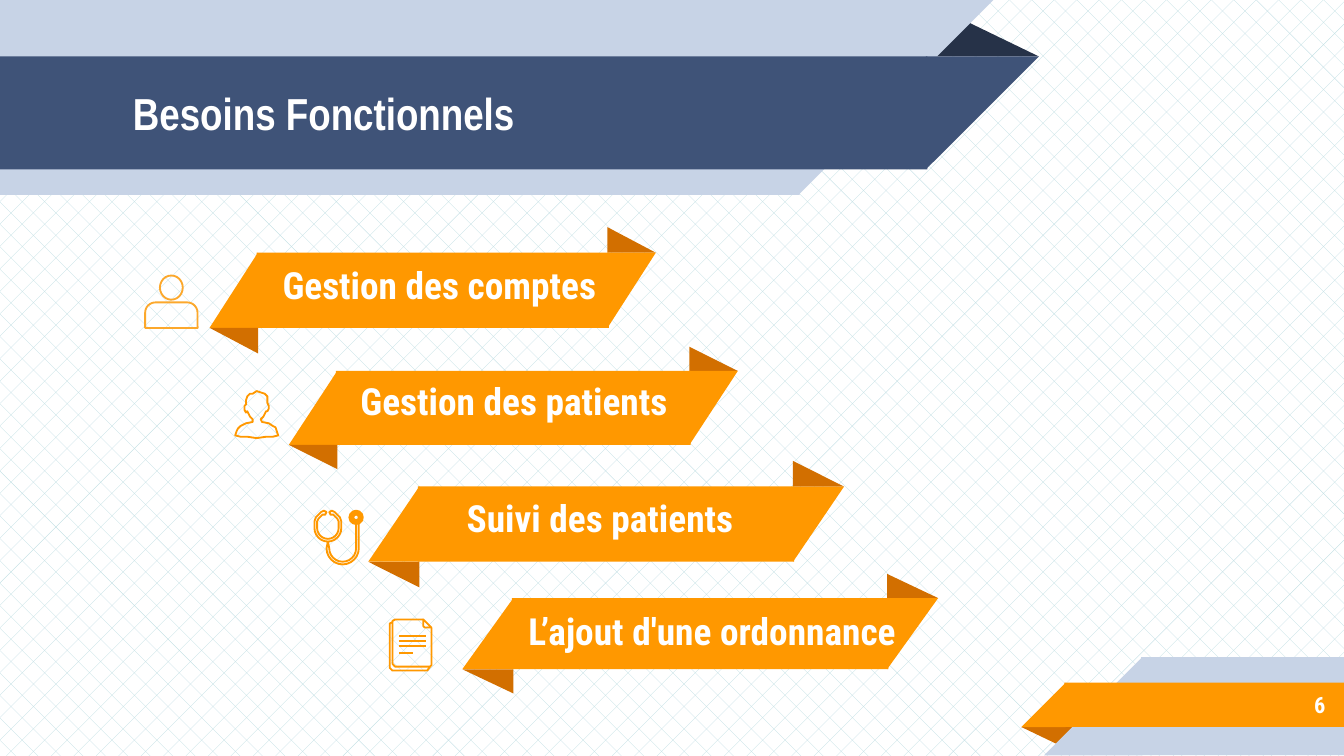
"""Build the "Besoins Fonctionnels" slide with its four ribbons and line icons."""
from dataclasses import dataclass
from math import cos, radians, sin
from typing import NamedTuple

from pptx import Presentation
from pptx.dml.color import RGBColor as Rgb
from pptx.enum.dml import MSO_PATTERN as Pattern
from pptx.enum.shapes import MSO_SHAPE as Preset
from pptx.enum.text import MSO_ANCHOR as Anchor, PP_ALIGN as Align
from pptx.util import Inches, Pt


@dataclass(frozen=True)
class Theme:
    pale: str = "C7D3E6"
    navy: str = "3F5378"
    ink: str = "263248"
    orange: str = "FF9800"
    amber: str = "FCA82C"
    rust: str = "D26F00"
    white: str = "FFFFFF"
    weave: str = "BCDCE1"
    title_font: str = "Arial Narrow"
    label_font: str = "Roboto Condensed"
    title_size: int = 24
    label_size: int = 20
    number_size: int = 12
    icon_line: float = 1
    seam: float = 0.01


class Box(NamedTuple):
    left: float
    top: float
    width: float
    height: float


class Ribbon(NamedTuple):
    left: float
    top: float
    slant: float
    body: float
    height: float
    fold: float
    label: str
    label_box: Box


Point = tuple[float, float]
THEME = Theme()

RIBBONS = [
    Ribbon(1.56, 1.88, 0.36, 2.6, 0.56, 0.19, "Gestion des comptes", Box(1.59, 1.84, 3.36, 0.56)),
    Ribbon(2.15, 2.76, 0.36, 2.62, 0.55, 0.18, "Gestion des patients", Box(2.52, 2.7, 2.61, 0.56)),
    Ribbon(2.74, 3.62, 0.38, 2.78, 0.56, 0.19, "Suivi des patients", Box(2.91, 3.61, 3.11, 0.48)),
    Ribbon(3.44, 4.45, 0.38, 2.78, 0.53, 0.18, "L’ajout d'une ordonnance", Box(3.65, 4.45, 3.3, 0.48)),
]

PATIENT = [
    (1.95, 3.14), (1.94, 3.12), (1.96, 3.1), (1.98, 3.06), (1.99, 3.06), (2, 3.04), (2, 3.02),
    (1.99, 3), (1.99, 2.95), (1.97, 2.93), (1.94, 2.92), (1.91, 2.91), (1.88, 2.93), (1.86, 2.93),
    (1.84, 2.95), (1.83, 2.98), (1.83, 3.01), (1.82, 3.02), (1.82, 3.05), (1.83, 3.07), (1.84, 3.06),
    (1.86, 3.1), (1.88, 3.12), (1.88, 3.14), (1.83, 3.15), (1.79, 3.17), (1.77, 3.19), (1.76, 3.21),
    (1.75, 3.24), (1.79, 3.25), (1.84, 3.25), (1.91, 3.26), (1.98, 3.25), (2.03, 3.25), (2.07, 3.24),
    (2.06, 3.21), (2.05, 3.18), (2.03, 3.17), (2, 3.15),
]
EARPIECE = [
    (2.54, 3.88), (2.53, 3.85), (2.5, 3.82), (2.49, 3.81), (2.47, 3.8), (2.45, 3.81),
    (2.46, 3.83), (2.48, 3.83), (2.51, 3.86), (2.52, 3.88),
]
BACK_PAGE = [(3.2, 4.96), (3.18, 4.99), (2.92, 4.99), (2.9, 4.97), (2.9, 4.64), (2.92, 4.63)]
FRONT_PAGE = [
    (3.21, 4.67), (3.21, 4.95), (3.2, 4.96), (2.94, 4.96), (2.92, 4.94),
    (2.92, 4.62), (2.94, 4.61), (3.15, 4.61),
]
PAGE_CORNER = [(3.15, 4.66), (3.15, 4.61), (3.21, 4.67), (3.16, 4.67)]


def draw_filled(slide, preset, box: Box, color: str, rotation: int = 0, flip: bool = False):
    shape = slide.shapes.add_shape(preset, *map(Inches, box))
    shape.shadow.inherit = False
    shape.fill.solid()
    shape.fill.fore_color.rgb = Rgb.from_string(color)
    shape.line.fill.background()
    shape.rotation = rotation
    if flip:
        shape._element.spPr.xfrm.set("flipH", "1")
    return shape


def draw_fold(slide, box: Box, color: str, apex: float = 0, rotation: int = 0) -> None:
    fold = draw_filled(slide, Preset.ISOSCELES_TRIANGLE, box, color, rotation)
    fold.adjustments[0] = apex


def draw_band(slide, body: Box, color: str, left_slant: float = 0, right_slant: float = 0) -> None:
    left, top, width, height = body
    left_seam = THEME.seam if left_slant else 0
    right_seam = THEME.seam if right_slant else 0
    core = Box(left - left_seam, top, width + left_seam + right_seam, height)
    draw_filled(slide, Preset.RECTANGLE, core, color)
    if left_slant:
        corner = Box(left - left_slant, top, left_slant, height)
        draw_filled(slide, Preset.RIGHT_TRIANGLE, corner, color, flip=True)
    if right_slant:
        corner = Box(left + width, top, right_slant, height)
        draw_filled(slide, Preset.RIGHT_TRIANGLE, corner, color, 180, True)


def draw_text(slide, box: Box, text: str, size: int, font: str, align) -> None:
    frame = slide.shapes.add_textbox(*map(Inches, box)).text_frame
    frame.word_wrap = True
    frame.vertical_anchor = Anchor.MIDDLE
    frame.margin_left = frame.margin_right = Inches(0.1)
    frame.margin_top = frame.margin_bottom = Inches(0.1)
    frame.text = text
    paragraph = frame.paragraphs[0]
    paragraph.alignment = align
    style = paragraph.runs[0].font
    style.size, style.name, style.bold = Pt(size), font, True
    style.color.rgb = Rgb.from_string(THEME.white)


def draw_ribbon(slide, ribbon: Ribbon) -> None:
    left, top, slant, width, height, fold, label, label_box = ribbon
    body = Box(left + slant, top, width, height)
    draw_fold(slide, Box(body.left + width, top - fold, slant, fold), THEME.rust)
    draw_band(slide, body, THEME.orange, slant, slant)
    draw_fold(slide, Box(left, top + height, slant, fold), THEME.rust, rotation=180)
    draw_text(slide, label_box, label, THEME.label_size, THEME.label_font, Align.CENTER)


def style_outline(shape, color: str) -> None:
    shape.shadow.inherit = False
    shape.fill.background()
    shape.line.color.rgb = Rgb.from_string(color)
    shape.line.width = Pt(THEME.icon_line)


def draw_outline(slide, points: list[Point], close: bool = False) -> None:
    start, *rest = [(Inches(x), Inches(y)) for x, y in points]
    builder = slide.shapes.build_freeform(*start)
    builder.add_line_segments(rest, close=close)
    style_outline(builder.convert_to_shape(), THEME.orange)


def draw_preset_outline(slide, preset, box: Box, color: str):
    shape = slide.shapes.add_shape(preset, *map(Inches, box))
    style_outline(shape, color)
    return shape


def arc(x: float, y: float, radius: float, start: int, end: int) -> list[Point]:
    step = 15 if end > start else -15
    angles = map(radians, range(start, end + step, step))
    return [(x + radius * cos(angle), y + radius * sin(angle)) for angle in angles]


def draw_account(slide) -> None:
    draw_preset_outline(slide, Preset.OVAL, Box(1.19, 2.05, 0.17, 0.18), THEME.amber)
    torso = Box(1.08, 2.25, 0.39, 0.19)
    shoulders = draw_preset_outline(slide, Preset.ROUND_2_SAME_RECTANGLE, torso, THEME.amber)
    shoulders.adjustments[0] = 0.4


def draw_stethoscope(slide) -> None:
    axis = 2.44
    left_earpiece = [(2 * axis - x, y) for x, y in reversed(EARPIECE)]
    tube = [(2.65, 3.89), *arc(2.55, 4.08, 0.1, 0, 180)]
    tube += arc(axis, 3.93, 0.1, 90, 0) + EARPIECE
    tube += arc(axis, 3.93, 0.08, 0, 180) + left_earpiece
    tube += arc(axis, 3.93, 0.1, 180, 90)
    tube += [*arc(2.55, 4.08, 0.12, 180, 0), (2.67, 3.89)]
    draw_outline(slide, tube)
    for radius in (0.02, 0.03, 0.04, 0.05):
        disc = Box(2.65 - radius, 3.85 - radius, 2 * radius, 2 * radius)
        draw_preset_outline(slide, Preset.OVAL, disc, THEME.orange)


def draw_prescription(slide) -> None:
    draw_outline(slide, BACK_PAGE)
    draw_outline(slide, FRONT_PAGE)
    draw_outline(slide, PAGE_CORNER, close=True)
    for y, end in ((4.73, 3.17), (4.77, 3.17), (4.81, 3.17), (4.86, 3.07)):
        draw_outline(slide, [(2.97, y), (end, y)])


def main() -> None:
    deck = Presentation()
    deck.slide_width, deck.slide_height = Inches(10), Inches(10 * 9 / 16)
    slide = deck.slides.add_slide(deck.slide_layouts[6])
    backdrop = slide.background.fill
    backdrop.patterned()
    backdrop.pattern = Pattern.DOTTED_DIAMOND
    backdrop.fore_color.rgb = Rgb.from_string(THEME.weave)
    backdrop.back_color.rgb = Rgb.from_string(THEME.white)

    draw_fold(slide, Box(6.88, 0.14, 0.85, 0.28), THEME.ink, 0.32)
    draw_band(slide, Box(0, 0, 5.94, 1.45), THEME.pale, right_slant=1.45)
    draw_band(slide, Box(0, 0.42, 6.89, 0.84), THEME.navy, right_slant=0.84)
    draw_fold(slide, Box(7.6, 5.41, 0.43, 0.14), THEME.rust, 0.32, 180)
    draw_band(slide, Box(8.5, 4.89, 1.5, 0.73), THEME.pale, left_slant=0.73)
    draw_band(slide, Box(7.93, 5.08, 2.07, 0.33), THEME.orange, left_slant=0.33)
    title_box, number_box = Box(0.89, 0.42, 5.75, 0.84), Box(8.33, 5.07, 1.63, 0.35)
    draw_text(slide, title_box, "Besoins Fonctionnels", THEME.title_size, THEME.title_font, Align.LEFT)
    draw_text(slide, number_box, "6", THEME.number_size, THEME.label_font, Align.RIGHT)

    for ribbon in RIBBONS:
        draw_ribbon(slide, ribbon)
    draw_account(slide)
    draw_outline(slide, PATIENT, close=True)
    draw_stethoscope(slide)
    draw_prescription(slide)
    deck.save("out.pptx")


if __name__ == "__main__":
    main()
